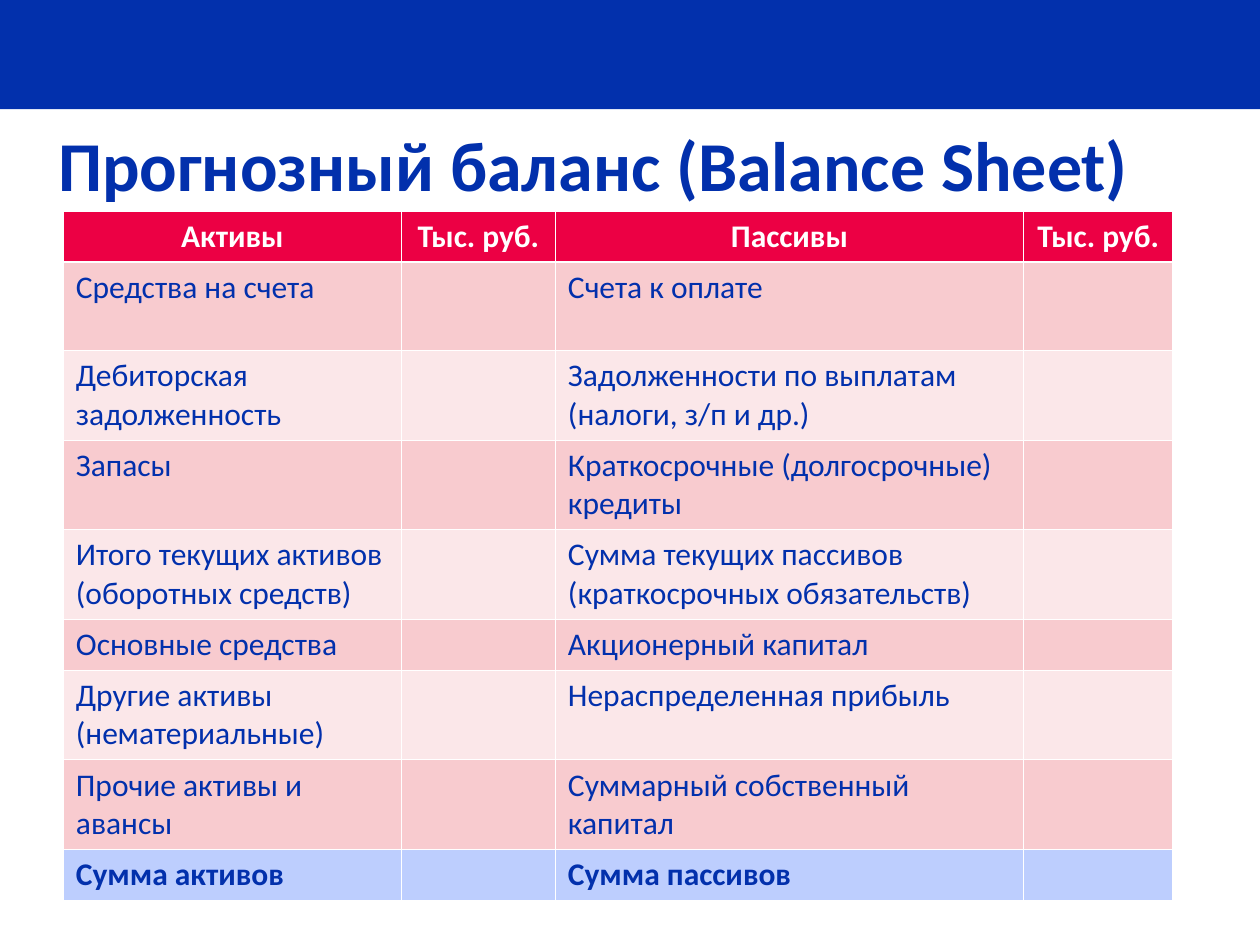
from typing import NamedTuple

from lxml.etree import SubElement
from pptx import Presentation
from pptx.dml.color import RGBColor
from pptx.enum.shapes import MSO_SHAPE
from pptx.enum.text import MSO_ANCHOR, MSO_AUTO_SIZE, PP_ALIGN
from pptx.oxml.ns import qn
from pptx.util import Pt

BLUE = RGBColor(0x02, 0x30, 0xAC)
RED = RGBColor(0xEC, 0x00, 0x44)
PINK = RGBColor(0xF8, 0xCB, 0xCF)
PALE_PINK = RGBColor(0xFB, 0xE7, 0xE9)
PALE_BLUE = RGBColor(0xBD, 0xCE, 0xFE)
WHITE = RGBColor(0xFF, 0xFF, 0xFF)

FONT = "Calibri"
THIN, THICK = 0.45, 1.47
ONE_LINE, TWO_LINES = 29.16, 51.12
COL_WIDTHS = (193.2, 88, 267.6, 85.2)


class BalanceRow(NamedTuple):
    asset: str
    liability: str
    height: float = TWO_LINES


ROWS = (
    BalanceRow("Средства на счета", "Счета к оплате", 50.4),
    BalanceRow("Дебиторская задолженность", "Задолженности по выплатам (налоги, з/п и др.)"),
    BalanceRow("Запасы", "Краткосрочные (долгосрочные) кредиты"),
    BalanceRow("Итого текущих активов (оборотных средств)",
               "Сумма текущих пассивов (краткосрочных обязательств)"),
    BalanceRow("Основные средства", "Акционерный капитал", ONE_LINE),
    BalanceRow("Другие активы (нематериальные)", "Нераспределенная прибыль"),
    BalanceRow("Прочие активы и авансы", "Суммарный собственный капитал"),
    BalanceRow("Сумма активов", "Сумма пассивов", ONE_LINE),
)


def write(tf, text: str, *, size: float = 18, color: RGBColor = BLUE,
          bold: bool = False, align: PP_ALIGN = PP_ALIGN.LEFT) -> None:
    p = tf.paragraphs[0]
    p.alignment = align
    for font in (p.font, p.add_run().font):
        font.name = FONT
        font.size = Pt(size)
        font.bold = bold
        font.color.rgb = color
    p.runs[0].text = text


def set_borders(cell, top: float, bottom: float) -> None:
    tc_pr = cell._tc.get_or_add_tcPr()
    widths = {"a:lnL": THIN, "a:lnR": THIN, "a:lnT": top, "a:lnB": bottom}
    for i, (tag, width) in enumerate(widths.items()):
        ln = SubElement(tc_pr, qn(tag), w=str(Pt(width)))
        fill = SubElement(ln, qn("a:solidFill"))
        SubElement(fill, qn("a:srgbClr"), val=str(WHITE))
        tc_pr.insert(i, ln)


def add_header_bar(s) -> None:
    sp = s.shapes.add_shape(MSO_SHAPE.RECTANGLE, Pt(0), Pt(0), Pt(720), Pt(62.4))
    sp.shadow.inherit = False
    sp.fill.solid()
    sp.fill.fore_color.rgb = BLUE
    sp.line.fill.background()


def add_title(s) -> None:
    sp = s.shapes.title
    sp.left, sp.top, sp.width, sp.height = Pt(12.2), Pt(74.2), Pt(672), Pt(82)
    tf = sp.text_frame
    tf.auto_size = MSO_AUTO_SIZE.NONE
    tf.word_wrap = True
    tf.vertical_anchor = MSO_ANCHOR.MIDDLE
    tf.margin_left, tf.margin_right = Pt(21), Pt(0)
    tf.margin_top, tf.margin_bottom = Pt(0), Pt(43)
    write(tf, "Прогнозный баланс (Balance Sheet)", size=40, bold=True)


def add_balance_table(s) -> None:
    heights = [ONE_LINE] + [row.height for row in ROWS]
    table = s.shapes.add_table(len(heights), len(COL_WIDTHS), Pt(36.2), Pt(120.7),
                               Pt(sum(COL_WIDTHS)), Pt(sum(heights))).table
    for col, width in zip(table.columns, COL_WIDTHS):
        col.width = Pt(width)

    lines = [("Активы", "Тыс. руб.", "Пассивы", "Тыс. руб.")]
    lines += [(row.asset, "", row.liability, "") for row in ROWS]
    last = len(ROWS)
    for i, (texts, height) in enumerate(zip(lines, heights)):
        table.rows[i].height = Pt(height)
        header = i == 0
        fill = RED if header else PALE_BLUE if i == last else PINK if i % 2 else PALE_PINK
        for j, text in enumerate(texts):
            cell = table.cell(i, j)
            cell.fill.solid()
            cell.fill.fore_color.rgb = fill
            set_borders(cell, THICK if i == 1 else THIN, THICK if header else THIN)
            if text:
                write(cell.text_frame, text, color=WHITE if header else BLUE,
                      bold=i in (0, last),
                      align=PP_ALIGN.CENTER if header else PP_ALIGN.LEFT)


def main() -> None:
    prs = Presentation()
    prs.slide_width, prs.slide_height = Pt(720), Pt(540)
    s = prs.slides.add_slide(prs.slide_layouts[5])
    add_header_bar(s)
    add_title(s)
    add_balance_table(s)
    prs.save("out.pptx")


if __name__ == "__main__":
    main()
